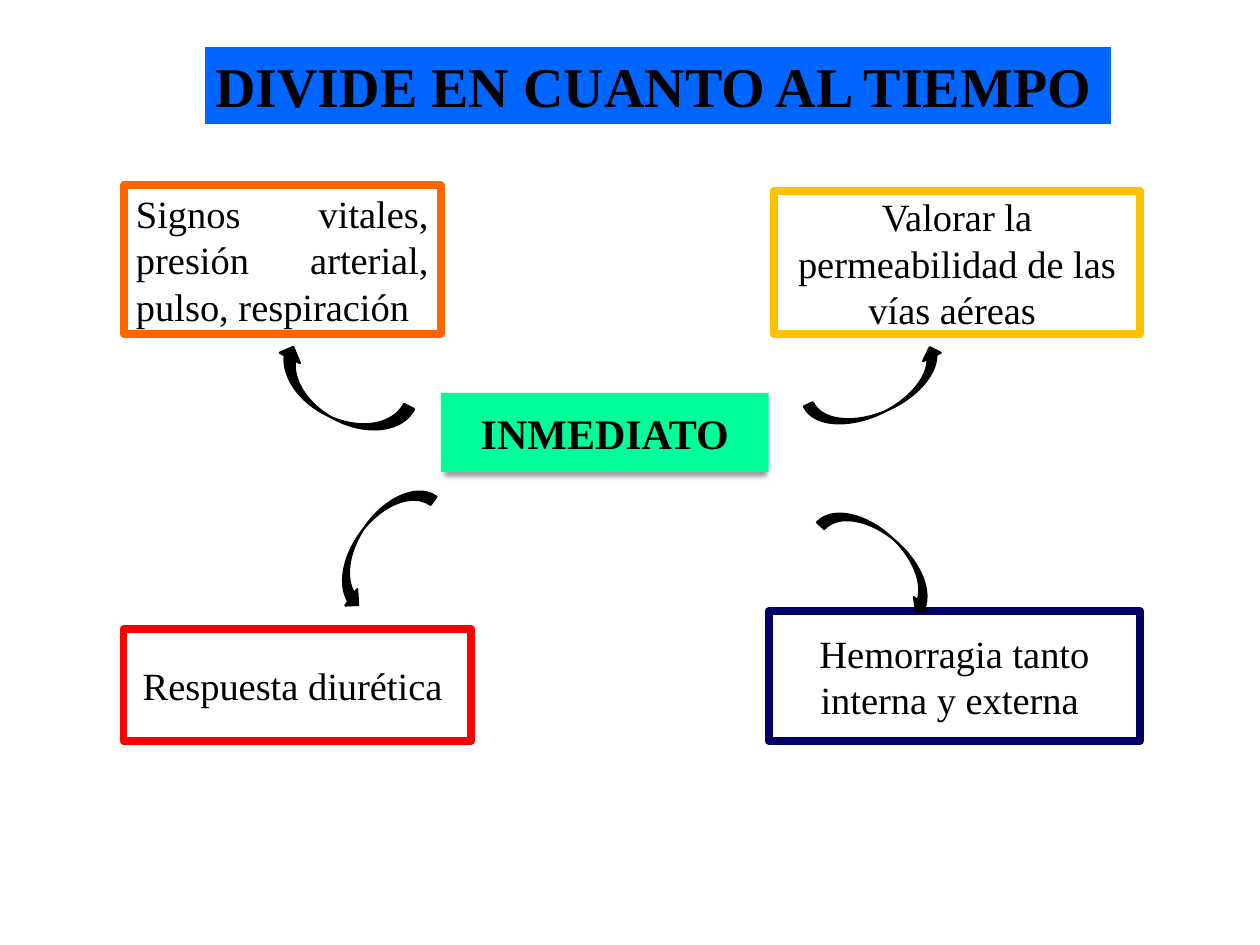
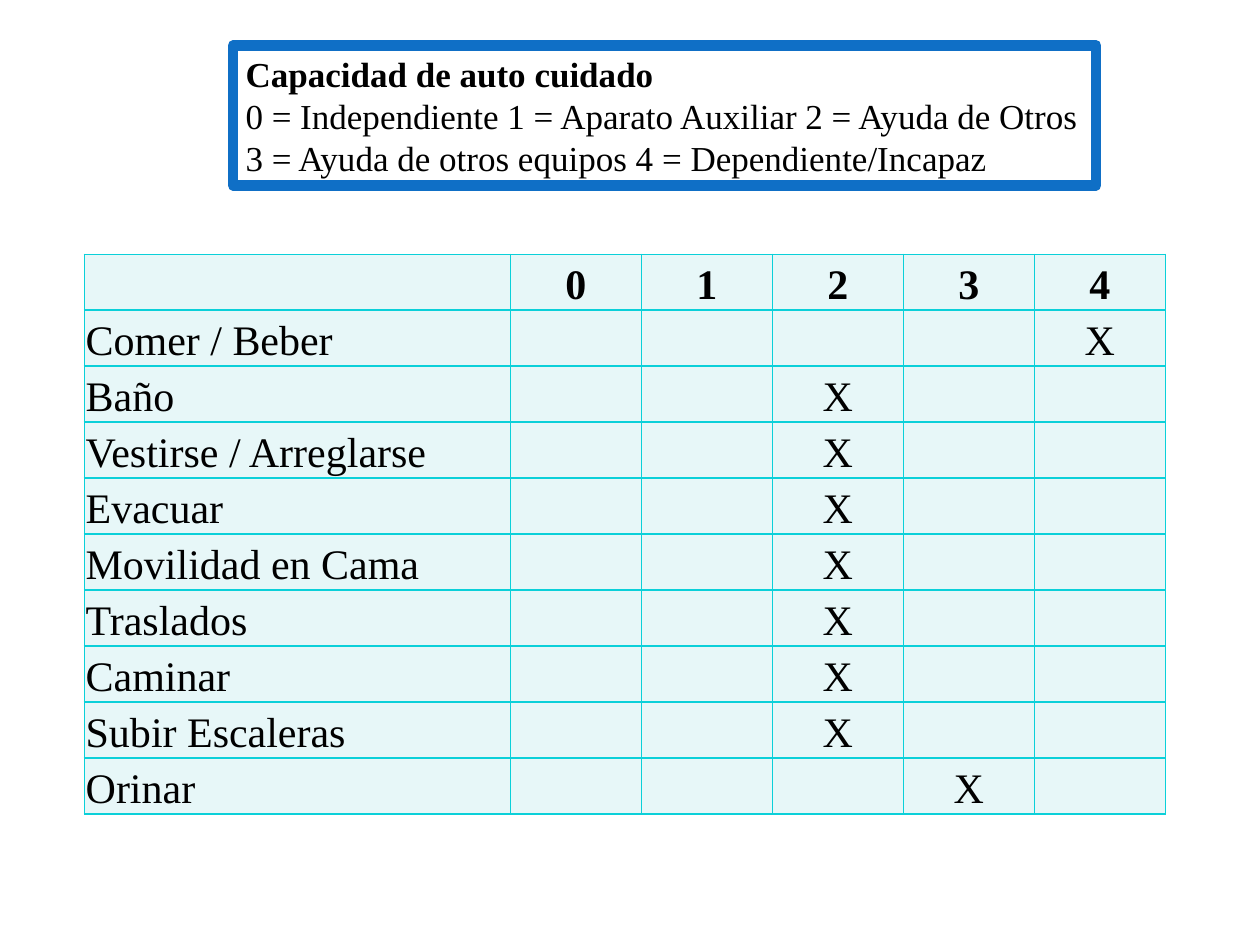
import dataclasses

import pptx
import pptx.dml.color
import pptx.enum.shapes
import pptx.enum.text
import pptx.oxml
import pptx.oxml.ns
import pptx.util

Pt = pptx.util.Pt
Align = pptx.enum.text.PP_ALIGN
Anchor = pptx.enum.text.MSO_ANCHOR
Preset = pptx.enum.shapes.MSO_SHAPE


@dataclasses.dataclass(frozen=True)
class Theme:
    font: str = "Times New Roman"
    ink: str = "000000"
    paper: str = "FFFFFF"
    title_band: str = "0066FF"
    hub: str = "00FF99"
    vitals: str = "FF6600"
    airway: str = "FFC000"
    bleeding: str = "000066"
    diuresis: str = "FF0000"
    legend: str = "0F6FC6"
    grid: str = "0BD0D9"
    cell: str = "E7F7F8"
    title_size: int = 32
    heading_size: int = 24
    body_size: int = 22
    legend_size: int = 20


THEME = Theme()

SCALE = ["0", "1", "2", "3", "4"]
SELF_CARE = {
    "Comer / Beber": 4,
    "Baño": 2,
    "Vestirse / Arreglarse": 2,
    "Evacuar": 2,
    "Movilidad en Cama": 2,
    "Traslados": 2,
    "Caminar": 2,
    "Subir Escaleras": 2,
    "Orinar": 3,
}


def rgb(colour):
    return pptx.dml.color.RGBColor.from_string(colour)


def write(paragraph, text, size, bold=False, align=Align.CENTER):
    paragraph.alignment = align
    run = paragraph.add_run()
    run.text = text
    run.font.name = THEME.font
    run.font.size = Pt(size)
    run.font.bold = bold
    run.font.color.rgb = rgb(THEME.ink)


def add_outlined(slide, preset, place, fill, line, width):
    """Add a preset shape without shadow; None leaves out its fill or line."""
    shape = slide.shapes.add_shape(preset, *map(Pt, place))
    shape.shadow.inherit = False
    if fill:
        shape.fill.solid()
        shape.fill.fore_color.rgb = rgb(fill)
    else:
        shape.fill.background()
    if line:
        shape.line.color.rgb = rgb(line)
        shape.line.width = Pt(width)
    else:
        shape.line.fill.background()
    return shape


def add_panel(slide, place, lines, size, fill=None, line=None, width=4.5,
              align=Align.CENTER, anchor=Anchor.MIDDLE):
    """Add a rectangle whose lines are (text, bold) pairs."""
    panel = add_outlined(slide, Preset.RECTANGLE, place, fill, line, width)
    frame = panel.text_frame
    frame.word_wrap = True
    frame.vertical_anchor = anchor
    for index, (text, bold) in enumerate(lines):
        paragraph = frame.add_paragraph() if index else frame.paragraphs[0]
        write(paragraph, text, size, bold, align)
    return panel


def add_drop_shadow(shape):
    effects = shape.element.spPr.find(pptx.oxml.ns.qn("a:effectLst"))
    effects.append(pptx.oxml.parse_xml(
        f'<a:outerShdw {pptx.oxml.ns.nsdecls("a")} blurRad="{Pt(3)}" dist="{Pt(3)}"'
        ' dir="4800000" sx="98000" sy="98000" algn="ctr" rotWithShape="0">'
        f'<a:srgbClr val="{THEME.ink}"><a:alpha val="40000"/></a:srgbClr>'
        '</a:outerShdw>'))


def add_curved_arrow(slide, preset, place, rotation, flip=None):
    arrow = add_outlined(slide, preset, place, THEME.ink, THEME.ink, 1.25)
    arrow.rotation = rotation
    if flip:
        arrow.element.spPr.xfrm.set(flip, "1")


def style_cell(cell):
    properties = cell._tc.get_or_add_tcPr()
    for side in ("lnL", "lnR", "lnT", "lnB"):
        properties.append(pptx.oxml.parse_xml(
            f'<a:{side} {pptx.oxml.ns.nsdecls("a")} w="{Pt(1)}"><a:solidFill>'
            f'<a:srgbClr val="{THEME.grid}"/></a:solidFill></a:{side}>'))
    cell.fill.solid()
    cell.fill.fore_color.rgb = rgb(THEME.cell)
    cell.vertical_anchor = Anchor.MIDDLE
    cell.margin_left = cell.margin_right = Pt(0.72)
    cell.margin_top = cell.margin_bottom = Pt(0.72)


def add_score_table(slide, left, top, label_width, score_width, row_height):
    """Mark each activity with an X under its score."""
    rows = [[""] + SCALE]
    for activity, score in SELF_CARE.items():
        rows.append([activity] + ["X" if int(step) == score else "" for step in SCALE])
    widths = [label_width] + [score_width] * len(SCALE)
    table = slide.shapes.add_table(
        len(rows), len(widths), Pt(left), Pt(top),
        Pt(sum(widths)), Pt(row_height * len(rows))).table
    table.first_row = table.horz_banding = False
    for column, width in zip(table.columns, widths):
        column.width = Pt(width)
    for r, texts in enumerate(rows):
        table.rows[r].height = Pt(row_height)
        for c, text in enumerate(texts):
            cell = table.cell(r, c)
            style_cell(cell)
            if text:
                paragraph = cell.text_frame.paragraphs[0]
                paragraph.line_spacing = 1.15
                write(paragraph, text, THEME.heading_size, bold=r == 0,
                      align=Align.CENTER if c else Align.JUSTIFY)


def build_time_slide(slide):
    add_panel(slide, (115.92, 26, 519.84, 46), [("DIVIDE EN CUANTO AL TIEMPO", True)],
              THEME.title_size, THEME.title_band, THEME.paper, 2, Align.LEFT, Anchor.TOP)
    hub = add_panel(slide, (252, 224.5, 187.2, 45.2), [("INMEDIATO", True)],
                    THEME.heading_size, THEME.hub)
    add_drop_shadow(hub)

    checks = [
        ("Signos vitales, presión arterial, pulso, respiración",
         (70.6, 105.8, 181.4, 85), THEME.vitals, Align.JUSTIFY),
        ("Valorar la permeabilidad de las vías aéreas ",
         (442.1, 109.4, 209.5, 81.4), THEME.airway, Align.CENTER),
        ("Hemorragia tanto interna y externa ",
         (439.2, 349.2, 212.4, 74.2), THEME.bleeding, Align.CENTER),
        ("Respuesta diurética ",
         (70.6, 359.3, 198.7, 64.1), THEME.diuresis, Align.CENTER),
    ]
    for text, place, colour, align in checks:
        add_panel(slide, place, [(text, False)], THEME.body_size,
                  THEME.paper, colour, align=align)

    up, down = Preset.CURVED_UP_ARROW, Preset.CURVED_DOWN_ARROW
    add_curved_arrow(slide, up, (460.1, 213.1, 85, 22.3), 334.8)
    add_curved_arrow(slide, up, (151.2, 213.1, 84.2, 25.9), 27.2, "flipH")
    add_curved_arrow(slide, down, (175, 298.8, 82.1, 23), 125.9, "flipV")
    add_curved_arrow(slide, down, (463.7, 306.7, 82.1, 22.3), 42.2)


def build_self_care_slide(slide):
    add_score_table(slide, 48.24, 145.3, 243.36, 74.88, 32)
    legend = [
        ("Capacidad de auto cuidado ", True),
        ("0 = Independiente 1 = Aparato Auxiliar 2 = Ayuda de Otros", False),
        ("3 = Ayuda de otros equipos 4 = Dependiente/Incapaz", False),
    ]
    add_panel(slide, (133.2, 26, 493.2, 80), legend, THEME.legend_size,
              line=THEME.legend, width=6, align=Align.JUSTIFY)


def main():
    deck = pptx.Presentation()
    deck.slide_width, deck.slide_height = Pt(720), Pt(540)
    blank = deck.slide_layouts[6]
    for build in (build_time_slide, build_self_care_slide):
        slide = deck.slides.add_slide(blank)
        slide.background.fill.solid()
        slide.background.fill.fore_color.rgb = rgb(THEME.paper)
        build(slide)
    deck.save("out.pptx")


if __name__ == "__main__":
    main()
